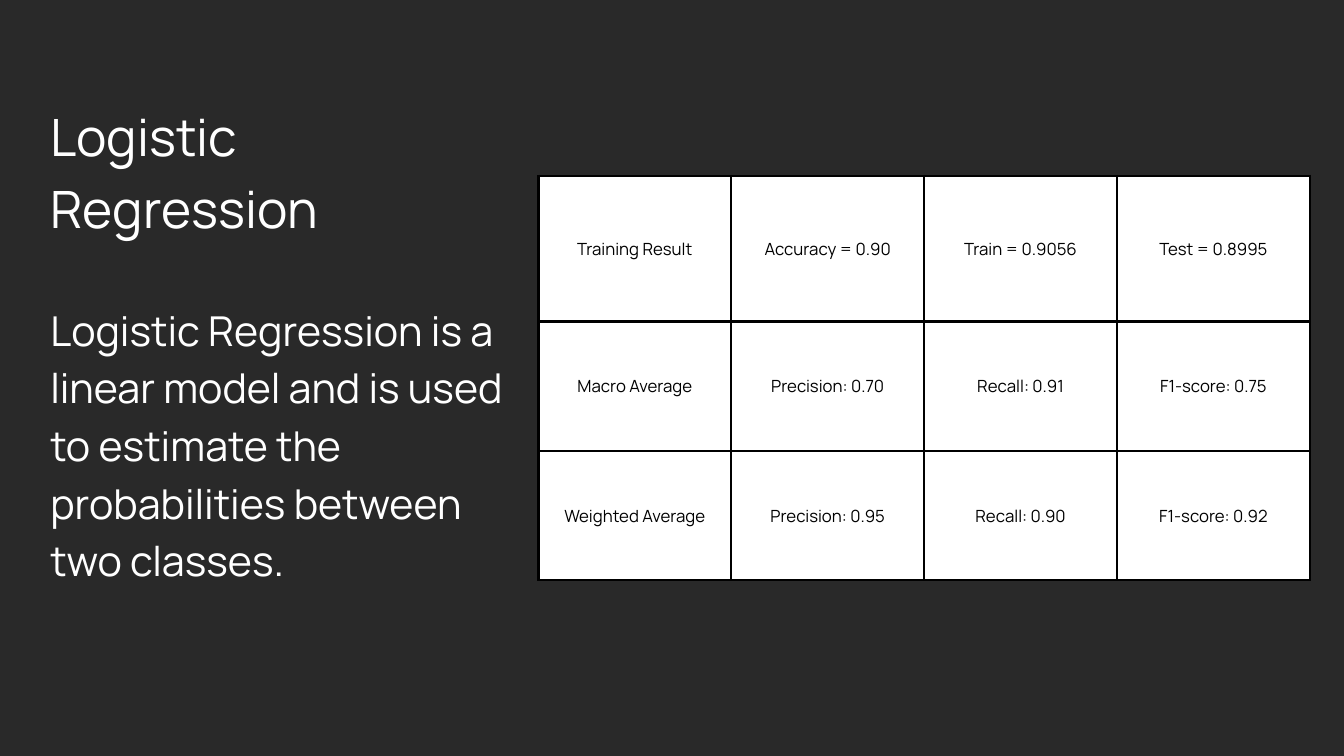
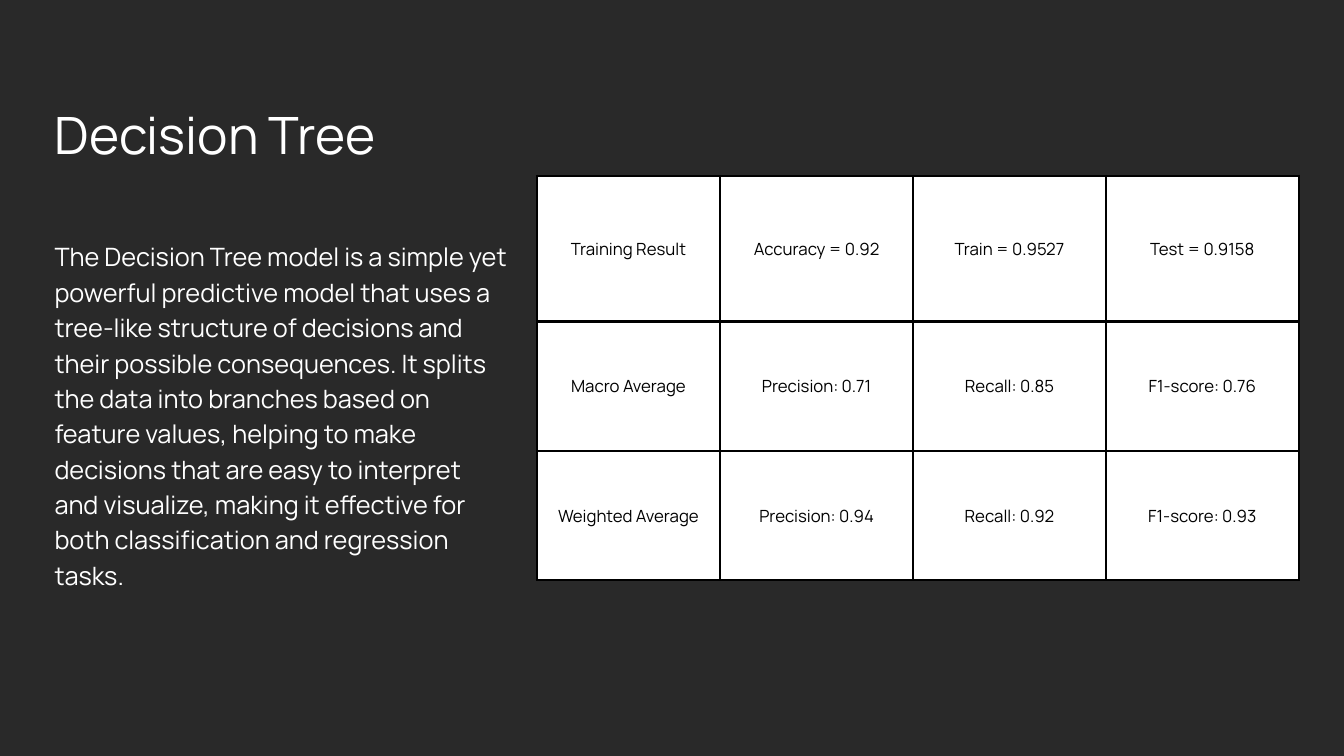
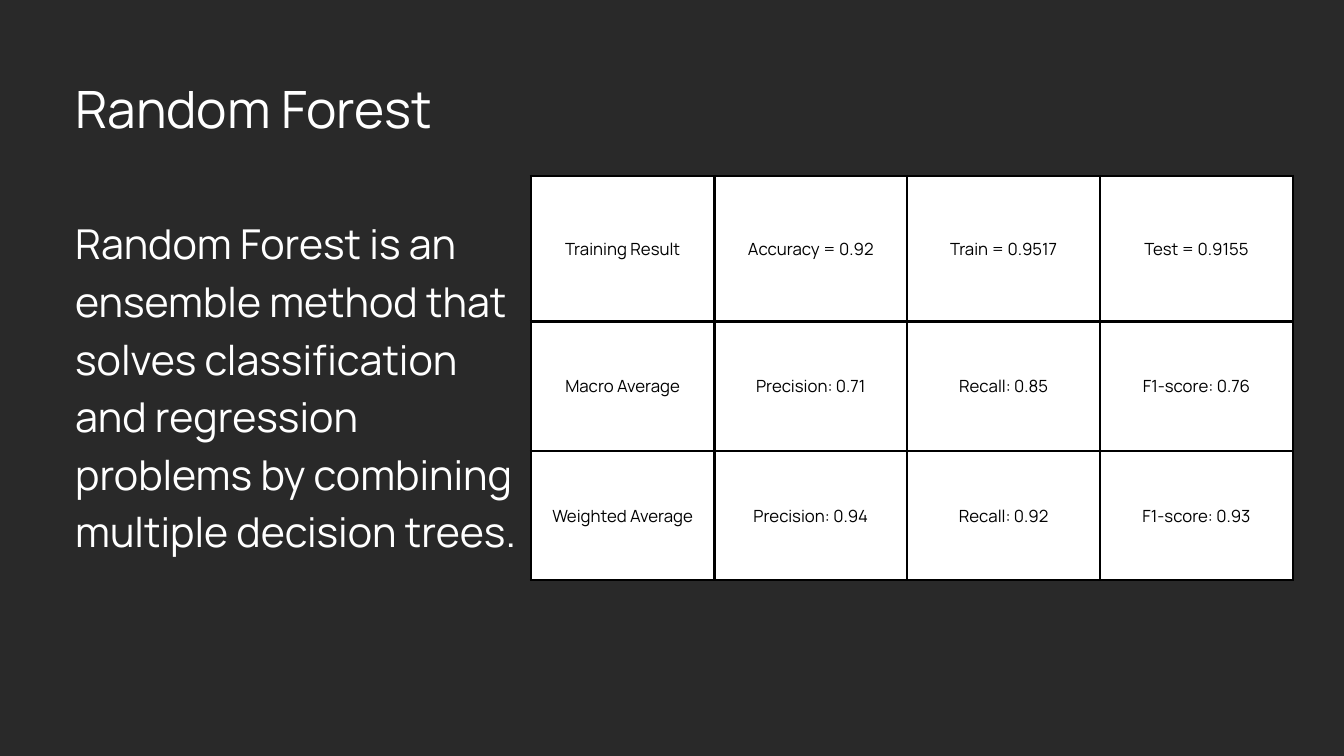
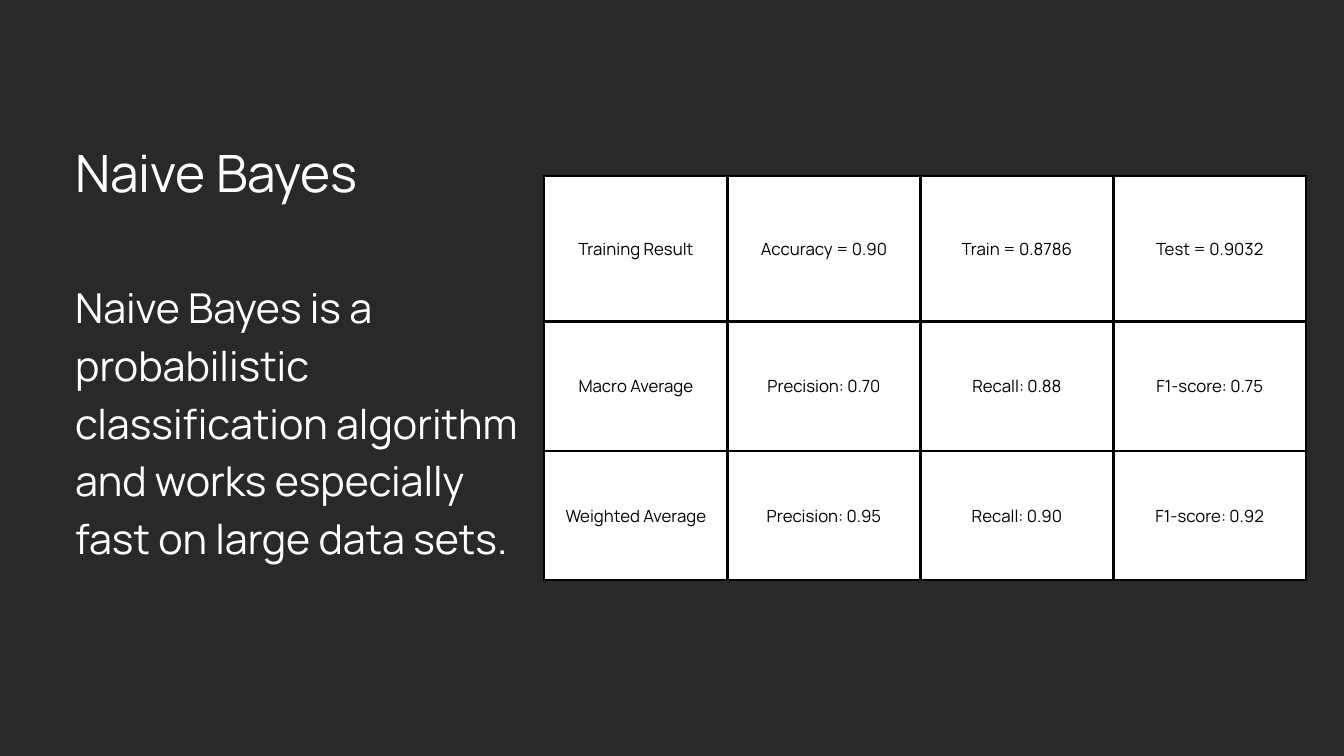
from lxml.etree import SubElement
from pptx import Presentation
from pptx.dml.color import RGBColor
from pptx.enum.text import MSO_ANCHOR as Anchor, MSO_AUTO_SIZE as Fit, PP_ALIGN as Align
from pptx.oxml.ns import qn
from pptx.util import Cm, Pt

DARK, WHITE, BLACK = "292929", "FFFFFF", "000000"
FONT = "Manrope"
TITLE = dict(size=55.1, lead=77.2)
LARGE = dict(size=44.1, lead=61.7)
SMALL = dict(size=27.1, lead=37.9)
CELL = dict(size=18, lead=25.2, color=BLACK, align=Align.CENTER,
            anchor=Anchor.MIDDLE, inset=0.53)

TEXT_W, BODY_H = 17.2, 13.5
TABLE_TOP, COL_W, ROWS = 6.65, 7.29, (5.51, 4.88, 4.88)
LABELS = (
    ("Training Result", "Accuracy = ", "Train = ", "Test = "),
    ("Macro Average", "Precision: ", "Recall: ", "F1-score: "),
    ("Weighted Average", "Precision: ", "Recall: ", "F1-score: "),
)

# One model per slide; lengths in cm, gap (between title and body) in points
MODELS = (
    dict(name="Logistic Regression", lines=2, left=1.9, top=3.6, gap=61.7, style=LARGE,
         about="Logistic Regression is a linear model and is used to estimate "
               "the probabilities between two classes.",
         grid=20.35, first=COL_W,
         scores=("0.90 0.9056 0.8995", "0.70 0.91 0.75", "0.95 0.90 0.92")),
    dict(name="Decision Tree", lines=1, left=2.06, top=3.5, gap=77.2, style=SMALL,
         about="The Decision Tree model is a simple yet powerful predictive model "
               "that uses a tree-like structure of decisions and their possible "
               "consequences. It splits the data into branches based on feature "
               "values, helping to make decisions that are easy to interpret and "
               "visualize, making it effective for both classification and "
               "regression tasks.",
         grid=20.29, first=6.93,
         scores=("0.92 0.9527 0.9158", "0.71 0.85 0.76", "0.94 0.92 0.93")),
    dict(name="Random Forest", lines=1, left=2.84, top=2.51, gap=77.2, style=LARGE,
         about="Random Forest is an ensemble method that solves classification "
               "and regression problems by combining multiple decision trees.",
         grid=20.07, first=6.93,
         scores=("0.92 0.9517 0.9155", "0.71 0.85 0.76", "0.94 0.92 0.93")),
    dict(name="Naive Bayes", lines=1, left=2.84, top=4.93, gap=77.2, style=LARGE,
         about="Naive Bayes is a probabilistic classification algorithm and works "
               "especially fast on large data sets.",
         grid=20.57, first=6.93,
         scores=("0.90 0.8786 0.9032", "0.70 0.88 0.75", "0.95 0.90 0.92")),
)


def rgb(code):
    return RGBColor.from_string(code)


def write(box, words, size, lead, color=WHITE, align=Align.LEFT,
          anchor=Anchor.TOP, inset=0):
    """Fill a cell or a text frame with one formatted paragraph."""
    box.vertical_anchor = anchor
    box.margin_left = box.margin_right = Cm(inset)
    box.margin_top = box.margin_bottom = Cm(inset)
    para = getattr(box, "text_frame", box).paragraphs[0]
    para.alignment = align
    para.line_spacing = Pt(lead)
    para.space_before = Pt(0)
    run = para.add_run()
    run.text = words
    run.font.name, run.font.size = FONT, Pt(size)
    run.font.color.rgb = rgb(color)
    return para


def border(cell, color=BLACK, width=3):
    props = cell._tc.get_or_add_tcPr()
    for spot, side in enumerate(("lnL", "lnR", "lnT", "lnB")):
        line = SubElement(props, qn("a:" + side), w=str(Pt(width)))
        fill = SubElement(line, qn("a:solidFill"))
        SubElement(fill, qn("a:srgbClr"), val=color)
        props.insert(spot, line)


class Deck:
    def __init__(self):
        self.prs = Presentation()
        self.prs.slide_width, self.prs.slide_height = Cm(50.8), Cm(28.58)
        back = self.prs.slide_master.background.fill
        back.solid()
        back.fore_color.rgb = rgb(DARK)

    def page(self):
        self.slide = self.prs.slides.add_slide(self.prs.slide_layouts[1])

    def place(self, shape, words, left, top, height, style):
        """Move a placeholder and write its text without a bullet."""
        shape.left, shape.top = left, top
        shape.width, shape.height = Cm(TEXT_W), height
        frame = shape.text_frame
        frame.word_wrap, frame.auto_size = True, Fit.NONE
        props = write(frame, words, **style)._p.get_or_add_pPr()
        props.set("marL", "0")
        props.set("indent", "0")
        SubElement(props, qn("a:buNone"))

    def prose(self, name, lines, about, left, top, gap, style):
        """Set the title and, a gap below it, the description."""
        title, body = self.slide.placeholders
        left, top, tall = Cm(left), Cm(top), Pt(lines * TITLE["lead"])
        self.place(title, name, left, top, tall, TITLE)
        self.place(body, about, left, top + tall + Pt(gap), Cm(BODY_H), style)

    def table(self, left, first, scores):
        widths = (first, COL_W, COL_W, COL_W)
        table = self.slide.shapes.add_table(
            len(ROWS), len(widths), Cm(left), Cm(TABLE_TOP),
            Cm(sum(widths)), Cm(sum(ROWS))).table
        table.first_row = table.horz_banding = False
        for col, width in zip(table.columns, widths):
            col.width = Cm(width)
        for row, height, labels, marks in zip(table.rows, ROWS, LABELS, scores):
            row.height = Cm(height)
            for cell, label, mark in zip(row.cells, labels, ("", *marks.split())):
                write(cell, label + mark, **CELL)
                cell.fill.solid()
                cell.fill.fore_color.rgb = rgb(WHITE)
                border(cell)


def main():
    deck = Deck()
    for model in MODELS:
        model = dict(model)
        deck.page()
        deck.table(model.pop("grid"), model.pop("first"), model.pop("scores"))
        deck.prose(**model)
    deck.prs.save("out.pptx")


if __name__ == "__main__":
    main()
